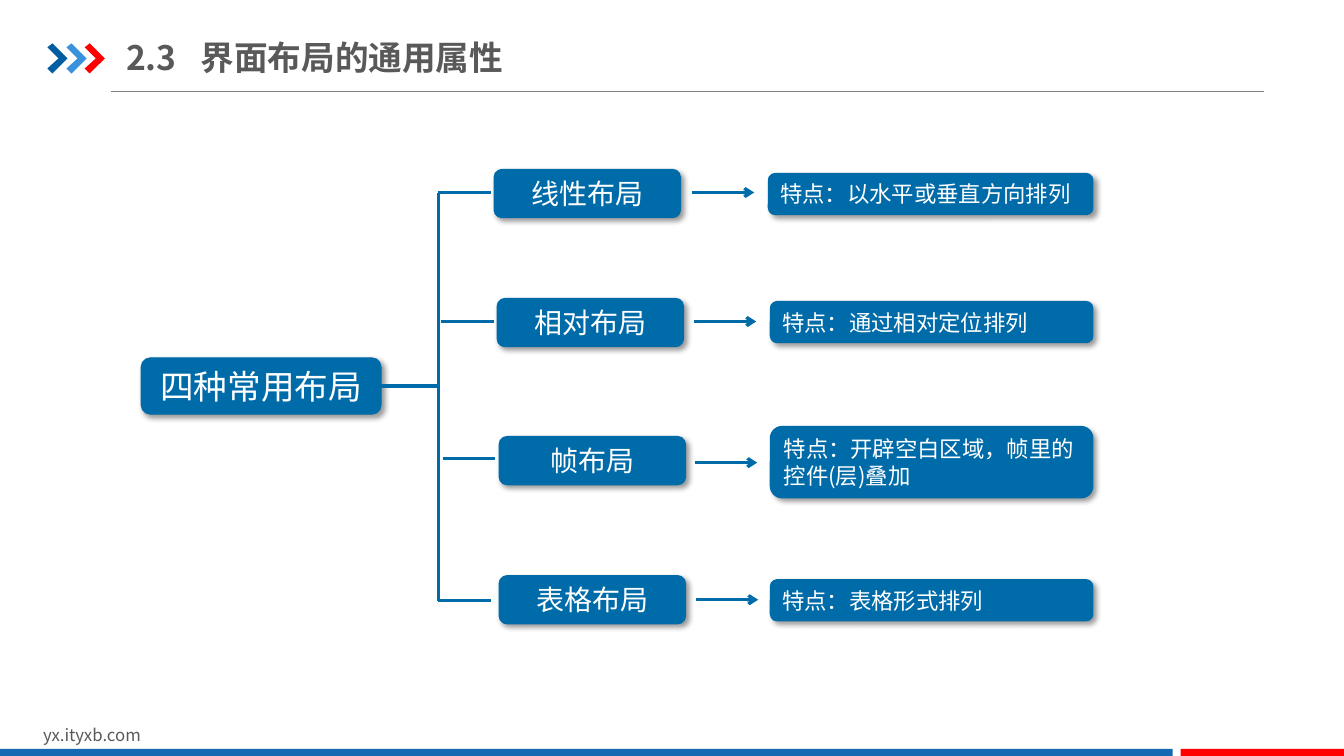
from lxml.etree import SubElement
from pptx import Presentation
from pptx.dml.color import RGBColor
from pptx.enum.shapes import MSO_CONNECTOR, MSO_SHAPE
from pptx.enum.text import MSO_ANCHOR, PP_ALIGN
from pptx.oxml import parse_xml
from pptx.oxml.ns import nsdecls, qn
from pptx.util import Inches, Pt

COLORS = {
    "node": "006BA9",
    "white": "FFFFFF",
    "text": "595959",
    "rule": "808080",
    "navy": "005DA2",
    "sky": "3992DB",
    "red": "FF0000",
    "footer": "1369B2",
}
FONT = "Noto Sans CJK SC"
SHADOW = (
    f'<a:effectLst {nsdecls("a")}><a:outerShdw blurRad="50800" dist="38100" '
    'dir="2700000" algn="tl" rotWithShape="0"><a:srgbClr val="000000">'
    '<a:alpha val="40000"/></a:srgbClr></a:outerShdw></a:effectLst>'
)

presentation = Presentation()
presentation.slide_width = Inches(13.33)
presentation.slide_height = Inches(7.5)
slide = presentation.slides.add_slide(presentation.slide_layouts[5])
shapes = slide.shapes


def write_text(shape, text, size, color, alignment=PP_ALIGN.LEFT, bold=False):
    frame = shape.text_frame
    frame.word_wrap = True
    frame.vertical_anchor = MSO_ANCHOR.MIDDLE
    paragraph = frame.paragraphs[0]
    paragraph.alignment = alignment
    run = paragraph.add_run()
    run.text = text
    font_format = {"name": FONT, "size": Pt(size), "bold": bold}
    for attribute, value in font_format.items():
        setattr(run.font, attribute, value)
    run.font.color.rgb = RGBColor.from_string(COLORS[color])
    SubElement(run.font._element, qn("a:ea"), typeface=FONT)


def add_line(start_x, start_y, end_x, end_y, color="node", width=2.25):
    connector = shapes.add_connector(
        MSO_CONNECTOR.STRAIGHT,
        Inches(start_x), Inches(start_y), Inches(end_x), Inches(end_y),
    )
    connector.line.color.rgb = RGBColor.from_string(COLORS[color])
    connector.line.width = Pt(width)
    SubElement(connector._element.spPr, qn("a:effectLst"))
    return connector


add_line(1.1, 0.91, 12.54, 0.91, "rule", 0.75)

for left, color in [(47, "navy"), (66, "sky"), (84, "red")]:
    builder = shapes.build_freeform(left, 47, scale=Inches(0.01))
    outline = [(5, 43), (20, 58), (5, 73), (0, 68), (11, 58)]
    builder.add_line_segments([(left + x, y) for x, y in outline], close=True)
    chevron = builder.convert_to_shape()
    chevron.shadow.inherit = False
    chevron.fill.solid()
    chevron.fill.fore_color.rgb = RGBColor.from_string(COLORS[color])
    chevron.line.fill.background()

website = shapes.add_textbox(Inches(0.33), Inches(7.14), Inches(3.18), Inches(0.3))
write_text(website, "yx.ityxb.com", 12, "text")

for left, width, color in [(0, 11.63, "footer"), (11.71, 1.62, "red")]:
    bar = shapes.add_shape(
        MSO_SHAPE.RECTANGLE, Inches(left), Inches(7.43), Inches(width), Inches(0.07)
    )
    bar.shadow.inherit = False
    bar.fill.solid()
    bar.fill.fore_color.rgb = RGBColor.from_string(COLORS[color])
    bar.line.fill.background()

title = shapes.title
title_place = {
    "left": Inches(1.25), "top": Inches(0.29),
    "width": Inches(4.26), "height": Inches(0.55),
}
for attribute, value in title_place.items():
    setattr(title, attribute, value)
title_margins = {
    "margin_left": 0, "margin_right": 0,
    "margin_top": Inches(0.07), "margin_bottom": Inches(0.07),
}
for attribute, value in title_margins.items():
    setattr(title.text_frame, attribute, value)
write_text(title, "2.3\t界面布局的通用属性", 24, "text", bold=True)
title_properties = title.text_frame.paragraphs[0]._p.get_or_add_pPr()
tab_list = SubElement(title_properties, qn("a:tabLst"))
SubElement(tab_list, qn("a:tab"), pos=str(Inches(0.74)), algn="l")

CENTER, LEFT = PP_ALIGN.CENTER, PP_ALIGN.LEFT
nodes = [
    ("四种常用布局", 1.4, 3.55, 2.38, 0.56, 24, CENTER),
    ("线性布局", 4.9, 1.68, 1.85, 0.48, 20, CENTER),
    ("相对布局", 4.93, 2.96, 1.85, 0.48, 20, CENTER),
    ("帧布局", 4.95, 4.33, 1.85, 0.48, 20, CENTER),
    ("表格布局", 4.95, 5.71, 1.85, 0.48, 20, CENTER),
    ("特点：以水平或垂直方向排列", 7.62, 1.72, 3.22, 0.41, 16, LEFT),
    ("特点：通过相对定位排列", 7.64, 2.99, 3.2, 0.41, 16, LEFT),
    ("特点：开辟空白区域，帧里的控件(层)叠加", 7.64, 4.23, 3.2, 0.71, 16, LEFT),
    ("特点：表格形式排列", 7.64, 5.75, 3.2, 0.41, 16, LEFT),
]
node_shapes = []
for text, left, top, width, height, size, alignment in nodes:
    node = shapes.add_shape(
        MSO_SHAPE.ROUNDED_RECTANGLE,
        Inches(left), Inches(top), Inches(width), Inches(height),
    )
    node.fill.solid()
    node.fill.fore_color.rgb = RGBColor.from_string(COLORS["node"])
    node.line.color.rgb = RGBColor.from_string(COLORS["node"])
    node.line.width = Pt(0.75)
    node._element.spPr.append(parse_xml(SHADOW))
    write_text(node, text, size, "white", alignment)
    node_shapes.append(node)

add_line(4.35, 1.91, 4.35, 5.96)
root_line = add_line(3.78, 3.83, 4.36, 3.83)
root_line.begin_connect(node_shapes[0], 3)

for start, end, y in [
    (4.34, 4.87, 1.91), (4.37, 4.9, 3.19), (4.39, 4.91, 4.55), (4.34, 4.87, 5.96),
]:
    add_line(start, y, end, y)

for start, y in [(6.86, 1.91), (6.88, 3.19), (6.89, 4.59), (6.9, 5.95)]:
    arrow = add_line(start, y, start + 0.62, y)
    SubElement(arrow.line._get_or_add_ln(), qn("a:tailEnd"), type="arrow")

presentation.save("out.pptx")
